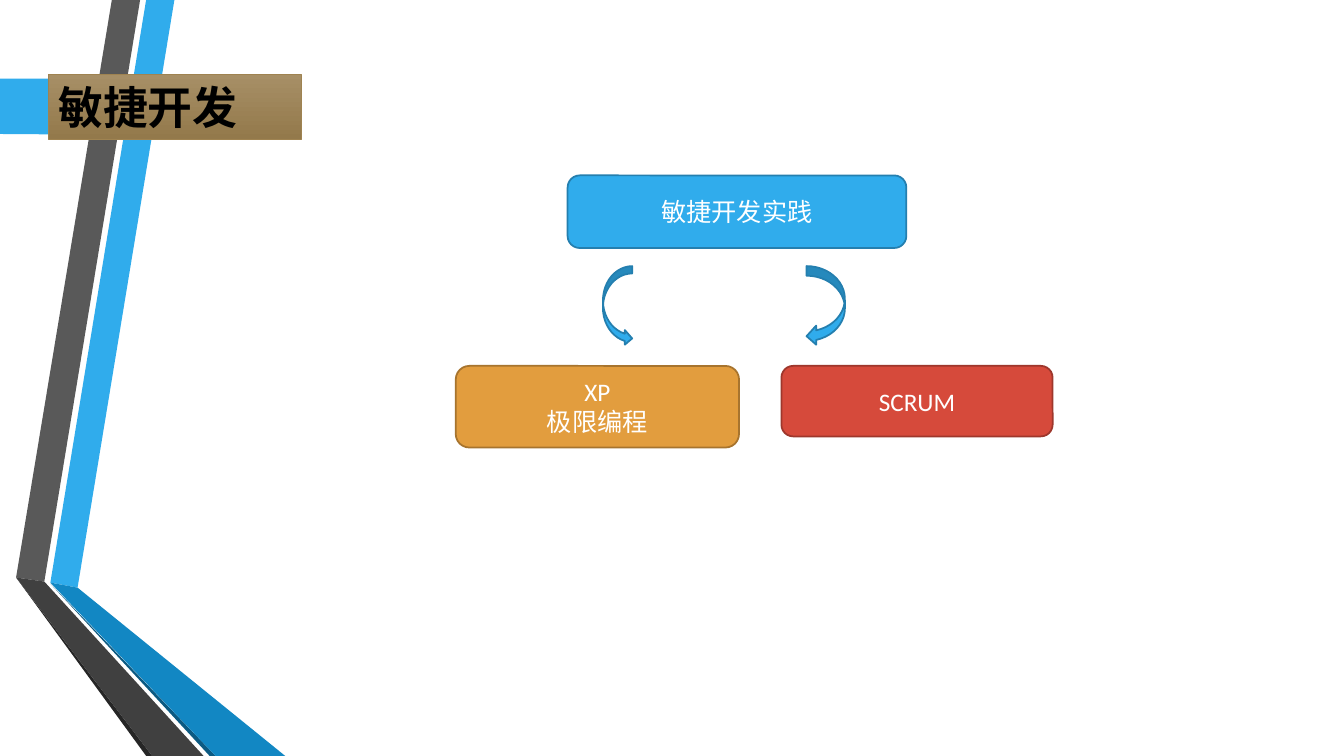
from pptx import Presentation
from pptx.dml.color import RGBColor
from pptx.enum.shapes import MSO_SHAPE
from pptx.enum.text import MSO_ANCHOR, PP_ALIGN
from pptx.oxml.ns import qn
from pptx.util import Inches, Pt

ROUND_RECT = MSO_SHAPE.ROUNDED_RECTANGLE
RECT = MSO_SHAPE.RECTANGLE
CURVED_ARROW = MSO_SHAPE.CURVED_RIGHT_ARROW
TOP, MIDDLE = MSO_ANCHOR.TOP, MSO_ANCHOR.MIDDLE
LEFT, CENTER = PP_ALIGN.LEFT, PP_ALIGN.CENTER

LATIN, CJK = "Calibri", "Noto Sans CJK SC"
COLORS = {
    "blue": "30ACEC", "blue_line": "247FAF",
    "blue_dark": "1287C3", "blue_shade": "0C5A82",
    "gray": "595959", "gray_dark": "404040", "gray_shade": "262626",
    "orange": "E29D3E", "orange_line": "A7742E",
    "red": "D64A3B", "red_line": "9E372C",
    "tan_top": "A78F66", "tan_bottom": "93794B", "tan_line": "9F8351",
    "white": "FFFFFF", "black": "000000",
}


def rgb(name):
    return RGBColor.from_string(COLORS[name])


def write(sp, text, size=18, font=LATIN, color="white", bold=False,
          align=CENTER, anchor=MIDDLE):
    """Put text in a shape, one paragraph per line."""
    tf = sp.text_frame
    tf.word_wrap = True
    tf.vertical_anchor = anchor
    for i, line in enumerate(text.split("\n")):
        p = tf.paragraphs[0] if i == 0 else tf.add_paragraph()
        p.alignment = align
        r = p.add_run()
        r.text = line
        r.font.size, r.font.bold, r.font.name = Pt(size), bold, font
        r.font.color.rgb = rgb(color)
        ea = r.font._element.makeelement(qn("a:ea"), {"typeface": CJK})
        r.font._element.find(qn("a:latin")).addnext(ea)


class Deck:
    def __init__(self):
        self.prs = Presentation()
        self.prs.slide_width, self.prs.slide_height = Inches(13.33), Inches(7.5)
        self.s = self.prs.slides.add_slide(self.prs.slide_layouts[6])

    def outline(self, points, fill):
        pts = [(Inches(x), Inches(y)) for x, y in points]
        builder = self.s.shapes.build_freeform(*pts[0])
        builder.add_line_segments(pts[1:], close=True)
        sp = builder.convert_to_shape()
        sp.shadow.inherit = False
        sp.fill.solid()
        sp.fill.fore_color.rgb = rgb(fill)
        sp.line.fill.background()

    def shape(self, kind, box, fill, line, width=1.25):
        sp = self.s.shapes.add_shape(kind, *map(Inches, box))
        sp.shadow.inherit = False
        sp.fill.solid()
        sp.fill.fore_color.rgb = rgb(fill)
        sp.line.color.rgb = rgb(line)
        sp.line.width = Pt(width)
        return sp

    def box(self, text, box, color):
        write(self.shape(ROUND_RECT, box, color, color + "_line"), text)

    def arrow(self, box, flip=False):
        sp = self.shape(CURVED_ARROW, box, "blue", "blue_line")
        if flip:
            sp._element.spPr.find(qn("a:xfrm")).set("flipH", "1")

    def title(self, text, box):
        sp = self.shape(RECT, box, "tan_top", "tan_line", 0.75)
        sp.fill.gradient()
        sp.fill.gradient_angle = 270
        for stop, name, at in zip(sp.fill.gradient_stops,
                                  ("tan_top", "tan_bottom"), (0, 1)):
            stop.color.rgb = rgb(name)
            stop.position = at
        write(sp, text, size=32, font=CJK, color="black", bold=True,
              align=LEFT, anchor=TOP)


def main():
    deck = Deck()

    # Folded ribbons on the left
    ribbons = [
        ("blue", [(0.5, 5.78), (0.77, 5.83), (1.73, 0), (1.45, 0)]),
        ("gray", [(1.39, 0), (1.11, 0), (0.16, 5.73), (0.44, 5.77)]),
        ("gray_shade", [(0.16, 5.73), (1.45, 7.5), (1.51, 7.5)]),
        ("blue_shade", [(0.5, 5.79), (2.08, 7.5), (2.14, 7.5)]),
        ("blue_dark", [(0.5, 5.78), (2.14, 7.5), (2.83, 7.5), (0.77, 5.83)]),
        ("gray_dark", [(2.02, 7.5), (0.44, 5.77), (0.16, 5.73), (1.51, 7.5)]),
    ]
    for fill, points in ribbons:
        deck.outline(points, fill)

    # Title on its pointed tab
    deck.outline([(0, 0.78), (1.46, 0.78), (1.73, 1.06), (1.46, 1.34),
                  (0, 1.33)], "blue")
    deck.title("敏捷开发", (0.48, 0.74, 2.51, 0.64))

    # Practices and the two methods below
    deck.box("敏捷开发实践", (5.63, 1.74, 3.36, 0.72), "blue")
    deck.arrow((5.98, 2.64, 0.29, 0.79))
    deck.arrow((8, 2.64, 0.38, 0.79), flip=True)
    deck.box("XP\n极限编程", (4.52, 3.63, 2.81, 0.81), "orange")
    deck.box("SCRUM", (7.75, 3.63, 2.69, 0.7), "red")

    deck.prs.save("out.pptx")


if __name__ == "__main__":
    main()
